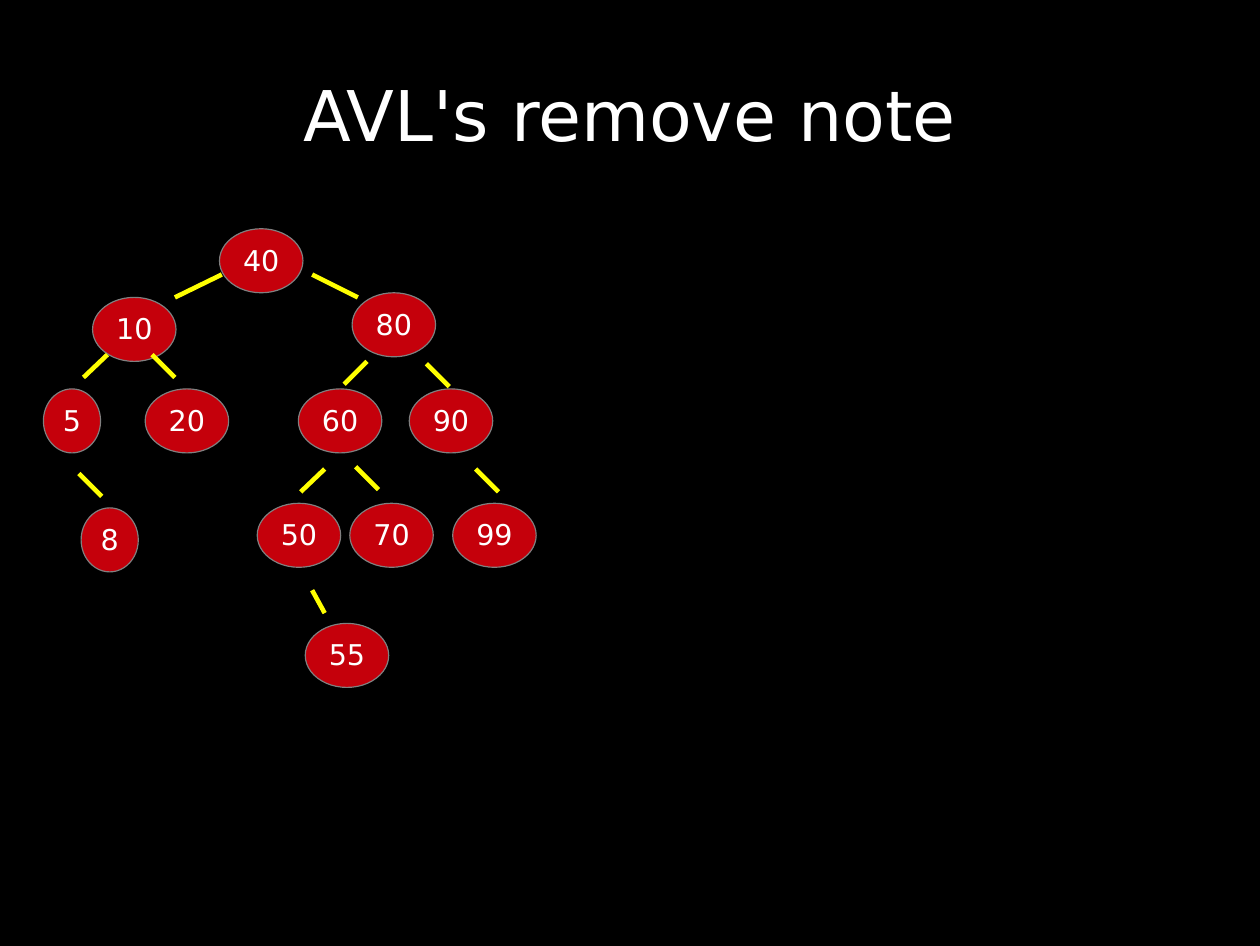
"""Build a slide showing an AVL tree before a removal."""
from typing import NamedTuple

from lxml import etree
from pptx import Presentation
from pptx import util as u
from pptx.dml.color import RGBColor
from pptx.enum import shapes, text
from pptx.oxml.ns import qn

CELL = u.Inches(0.1)
NODE_HEIGHT = 5.6
WIDE, NARROW = 7.3, 5.0
BRANCH_DROP = 2.0
FONT = "DejaVu Sans"
BLACK, WHITE, RED, GREY, YELLOW = "000000", "FFFFFF", "C5000B", "808080", "FFFF00"


class Node(NamedTuple):
    key: str
    column: float
    row: float
    columns: float = WIDE


class Branch(NamedTuple):
    column: float
    row: float
    run: float


NODES = [
    Node("40", 19.2, 20),
    Node("10", 8.1, 26),
    Node("80", 30.8, 25.6),
    Node("5", 3.8, 34, NARROW),
    Node("20", 12.7, 34),
    Node("60", 26.1, 34),
    Node("90", 35.8, 34),
    Node("8", 7.1, 44.4, NARROW),
    Node("50", 22.5, 44),
    Node("70", 30.6, 44),
    Node("99", 39.6, 44),
    Node("55", 26.7, 54.5),
]

BRANCHES = [
    Branch(19.4, 24, -4.1),
    Branch(27.3, 24, 4),
    Branch(9.4, 31, -2.1),
    Branch(13.3, 31, 2),
    Branch(32.1, 31.6, -2),
    Branch(37.3, 31.8, 2),
    Branch(6.9, 41.4, 2),
    Branch(28.4, 41, -2.1),
    Branch(31.1, 40.8, 2),
    Branch(41.6, 41, 2),
    Branch(27.3, 51.6, 1.1),
]


def cells(count: float) -> u.Emu:
    """Convert a number of grid cells to a length."""
    return u.Emu(round(count * CELL))


def paint(color_format, value: str) -> None:
    """Apply a hex colour to a fill colour, line colour or font colour."""
    color_format.rgb = RGBColor.from_string(value)


def write(shape, content: str, size: int, wrap: bool) -> None:
    """Write one centred white line in a shape."""
    frame = shape.text_frame
    frame.word_wrap = wrap
    frame.vertical_anchor = text.MSO_ANCHOR.MIDDLE
    frame.margin_top, frame.margin_bottom = u.Inches(0.06), u.Inches(0.05)
    paragraph = frame.paragraphs[0]
    paragraph.text = content
    paragraph.alignment = text.PP_ALIGN.CENTER
    paragraph.line_spacing = 0.97
    paragraph.font.name = FONT
    paragraph.font.size = u.Pt(size)
    paint(paragraph.font.color, WHITE)


def draw_title(slide, content: str) -> None:
    """Place the heading across the top of the slide."""
    title = slide.shapes.add_textbox(cells(5.5), cells(3.3), cells(99.2), cells(13.8))
    write(title, content, 44, wrap=True)


def draw_node(slide, node: Node) -> None:
    """Draw a tree node as a labelled ellipse."""
    ellipse = slide.shapes.add_shape(
        shapes.MSO_SHAPE.OVAL,
        cells(node.column), cells(node.row), cells(node.columns), cells(NODE_HEIGHT),
    )
    ellipse.shadow.inherit = False
    ellipse.fill.solid()
    paint(ellipse.fill.fore_color, RED)
    paint(ellipse.line.color, GREY)
    ellipse.line.width = u.Pt(0.75)
    write(ellipse, node.key, 18, wrap=False)


def draw_branch(slide, branch: Branch) -> None:
    """Draw a short line from a parent towards its child."""
    connector = slide.shapes.add_connector(
        shapes.MSO_CONNECTOR.STRAIGHT,
        cells(branch.column), cells(branch.row),
        cells(branch.column + branch.run), cells(branch.row + BRANCH_DROP),
    )
    paint(connector.line.color, YELLOW)
    connector.line.width = u.Pt(2.89)
    properties = connector._element.find(qn("p:spPr"))
    etree.SubElement(properties, qn("a:effectLst"))


def main() -> None:
    """Build and save the presentation."""
    presentation = Presentation()
    presentation.slide_width = u.Inches(11.02)
    presentation.slide_height = u.Inches(8.27)
    slide = presentation.slides.add_slide(presentation.slide_layouts[6])
    slide.background.fill.solid()
    paint(slide.background.fill.fore_color, BLACK)
    draw_title(slide, "AVL's remove note")
    for node in NODES:
        draw_node(slide, node)
    for branch in BRANCHES:
        draw_branch(slide, branch)
    presentation.save("out.pptx")


if __name__ == "__main__":
    main()
